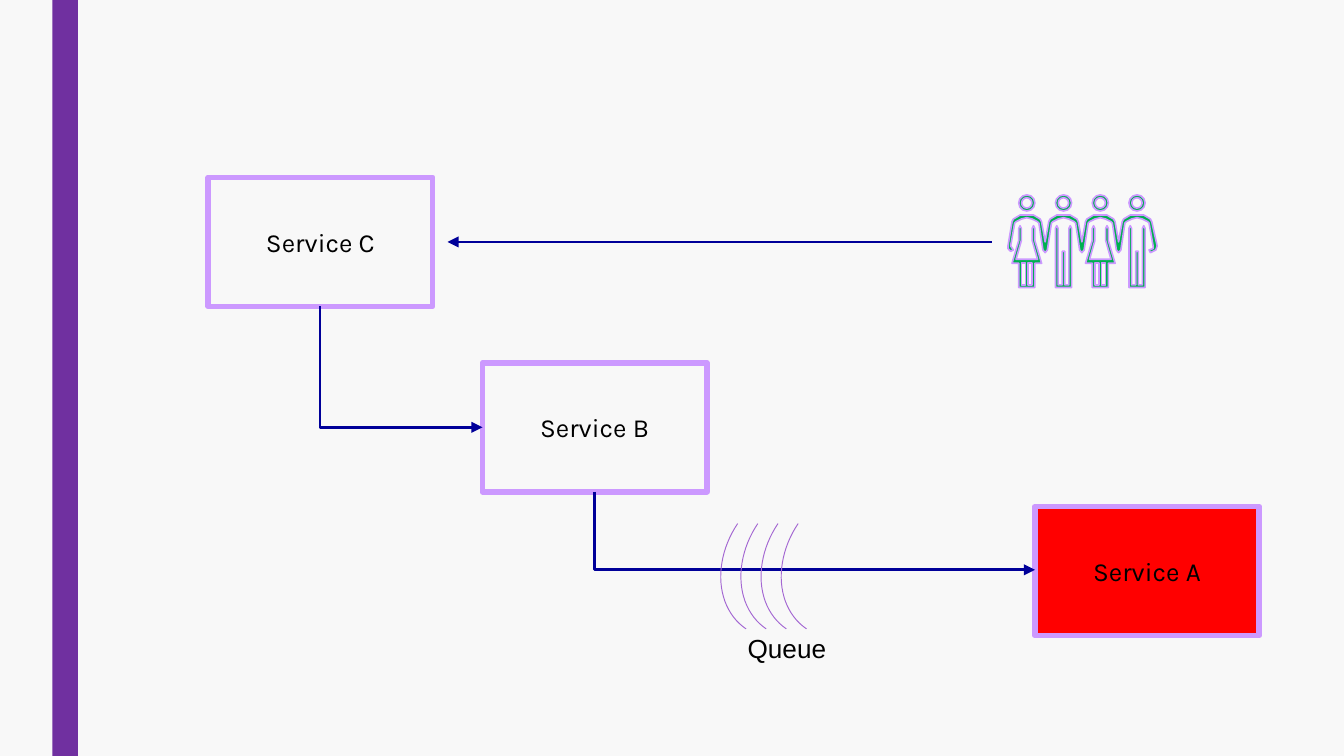
from lxml.etree import SubElement
from pptx import Presentation
from pptx.dml.color import RGBColor
from pptx.enum.shapes import MSO_CONNECTOR as CONNECTOR, MSO_SHAPE as SHAPE
from pptx.enum.text import MSO_ANCHOR as ANCHOR, PP_ALIGN as ALIGN
from pptx.oxml.ns import qn
from pptx.util import Inches, Pt

COLORS = {
    "background": "F8F8F8", "bar": "7030A0", "border": "CC99FF",
    "alert": "FF0000", "people": "00B050", "arrow": "000099",
    "queue": "A468D2", "text": "000000",
}


def style(shape, fill=None, line=None, width=1):
    """Set fill and outline; None means not drawn."""
    shape.shadow.inherit = False
    for part, color in ((shape.fill, fill), (shape.line.fill, line)):
        if color:
            part.solid()
            part.fore_color.rgb = RGBColor.from_string(COLORS[color])
        else:
            part.background()
    if line:
        shape.line.width = Pt(width)


def write(shape, text, font_name):
    paragraph = shape.text_frame.paragraphs[0]
    paragraph.text = text
    paragraph.alignment = ALIGN.CENTER
    paragraph.font.size = Pt(14)
    paragraph.font.name = font_name
    paragraph.font.color.rgb = RGBColor.from_string(COLORS["text"])


# A 16:9 slide, 10 inches wide
presentation = Presentation()
presentation.slide_width = Inches(10)
presentation.slide_height = Inches(10 * 9 / 16)
slide = presentation.slides.add_slide(presentation.slide_layouts[6])
shapes = slide.shapes

# Background and side bar
slide.background.fill.solid()
slide.background.fill.fore_color.rgb = RGBColor.from_string(COLORS["background"])
bar = shapes.add_shape(SHAPE.RECTANGLE, Inches(0.39), 0,
                       Inches(0.19), presentation.slide_height)
style(bar, fill="bar")

# People: heads, bodies and linked arms, x measured from each person's centre
PITCH = 0.82 / 3
centers = [7.64 + i * PITCH for i in range(4)]
WOMAN = [
    [(0.06, 1.7), (0.05, 1.68), (0.04, 1.7), (0.04, 1.79), (0.08, 1.93),
     (-0.08, 1.93), (-0.04, 1.79), (-0.04, 1.7), (-0.05, 1.68), (-0.06, 1.7),
     (-0.06, 1.79), (-0.11, 1.96), (-0.06, 1.96), (-0.06, 2.14), (0.06, 2.14),
     (0.06, 1.96), (0.11, 1.96), (0.06, 1.79)],
    [(-0.04, 1.96), (-0.01, 1.96), (-0.01, 2.12), (-0.04, 2.12)],
    [(0.04, 2.12), (0.01, 2.12), (0.01, 1.96), (0.04, 1.96)],
]
MAN = [
    [(0.05, 1.68), (0.04, 1.7), (0.04, 2.12), (0.01, 2.12), (0.01, 1.87),
     (-0.01, 1.87), (-0.01, 2.12), (-0.04, 2.12), (-0.04, 1.7), (-0.05, 1.68),
     (-0.06, 1.7), (-0.06, 2.14), (0.06, 2.14), (0.06, 1.7)],
]
OUTER = [(-0.11, 1.65), (-0.1, 1.63), (-0.05, 1.6), (0, 1.6),
         (0.05, 1.6), (0.1, 1.63), (0.11, 1.65)]
INNER = [(-0.12, 1.86), (-0.09, 1.66), (-0.08, 1.65), (-0.04, 1.63), (0, 1.62),
         (0.04, 1.63), (0.08, 1.65), (0.09, 1.66), (0.12, 1.86)]

figures = []
top_edge, bottom_edge = [], []
for i, center in enumerate(centers):
    head = shapes.add_shape(SHAPE.DONUT, Inches(center - 0.06), Inches(1.45),
                            Inches(0.12), Inches(0.12))
    head.adjustments[0] = 0.18
    style(head, "people", "border", 0.89)
    body = MAN if i % 2 else WOMAN
    figures.append([[(center + x, y) for x, y in contour] for contour in body])
    top_edge += [(center + x, y) for x, y in OUTER]
    bottom_edge += [(center + x, y) for x, y in INNER]
    if i < 3:
        top_edge.append((center + PITCH / 2, 1.8))
        bottom_edge.append((center + PITCH / 2, 1.88))

# The outermost arms end in hands instead of the joined points
right_hand = [(8.61, 1.83), (8.6, 1.86), (8.56, 1.88), (8.55, 1.86), (8.58, 1.85), (8.58, 1.83)]
left_hand = [(7.52, 1.83), (7.54, 1.86), (7.52, 1.87), (7.5, 1.85), (7.5, 1.83)]
figures.append([top_edge + right_hand + bottom_edge[-2:0:-1] + left_hand])

for contours in figures:
    builder = None
    for contour in contours:
        points = [(Inches(x), Inches(y)) for x, y in contour]
        if builder is None:
            builder = shapes.build_freeform(*points[0])
        else:
            builder.move_to(*points[0])
        builder.add_line_segments(points[1:], close=True)
    style(builder.convert_to_shape(), "people", "border", 0.89)

# Service boxes
for name, left, top, fill in (("Service C", 1.55, 1.32, None),
                              ("Service B", 3.59, 2.7, None),
                              ("Service A", 7.7, 3.77, "alert")):
    box = shapes.add_shape(SHAPE.RECTANGLE, Inches(left), Inches(top),
                           Inches(1.67), Inches(0.96))
    style(box, fill, "border", 3)
    box.text_frame.vertical_anchor = ANCHOR.MIDDLE
    write(box, name, "Karla")

# Arrows: an elbow runs down, then right, as a mirrored bend turned by 270 degrees
for x1, y1, x2, y2 in ((7.38, 1.8, 3.33, 1.8),
                       (2.38, 2.28, 3.59, 3.18),
                       (4.42, 3.66, 7.7, 4.24)):
    if y1 == y2:
        arrow = shapes.add_connector(CONNECTOR.STRAIGHT, Inches(x1), Inches(y1),
                                     Inches(x2), Inches(y2))
    else:
        middle_x, middle_y = (x1 + x2) / 2, (y1 + y2) / 2
        half_width, half_height = (y2 - y1) / 2, (x2 - x1) / 2
        arrow = shapes.add_connector(
            CONNECTOR.ELBOW,
            Inches(middle_x + half_width), Inches(middle_y - half_height),
            Inches(middle_x - half_width), Inches(middle_y + half_height))
        properties = arrow._element.spPr
        properties.find(qn("a:xfrm")).set("rot", "16200000")
        properties.find(qn("a:prstGeom")).set("prst", "bentConnector2")
    arrow.line.color.rgb = RGBColor.from_string(COLORS["arrow"])
    arrow.line.width = Pt(1.5)
    SubElement(arrow.line._get_or_add_ln(), qn("a:tailEnd"), type="triangle")
    SubElement(arrow._element.spPr, qn("a:effectLst"))

# Queue arcs and label
for i in range(4):
    arc = shapes.add_shape(SHAPE.ARC, Inches(5.73 - 0.15 * i), Inches(3.68),
                           Inches(1.23), Inches(0.98))
    arc.rotation = 304
    arc._element.spPr.find(qn("a:xfrm")).set("flipH", "1")
    style(arc, line="queue", width=0.5)

label = shapes.add_textbox(Inches(5.36), Inches(4.66), Inches(0.99), Inches(0.34))
label.text_frame.word_wrap = True
write(label, "Queue", "Arial")

presentation.save("out.pptx")
